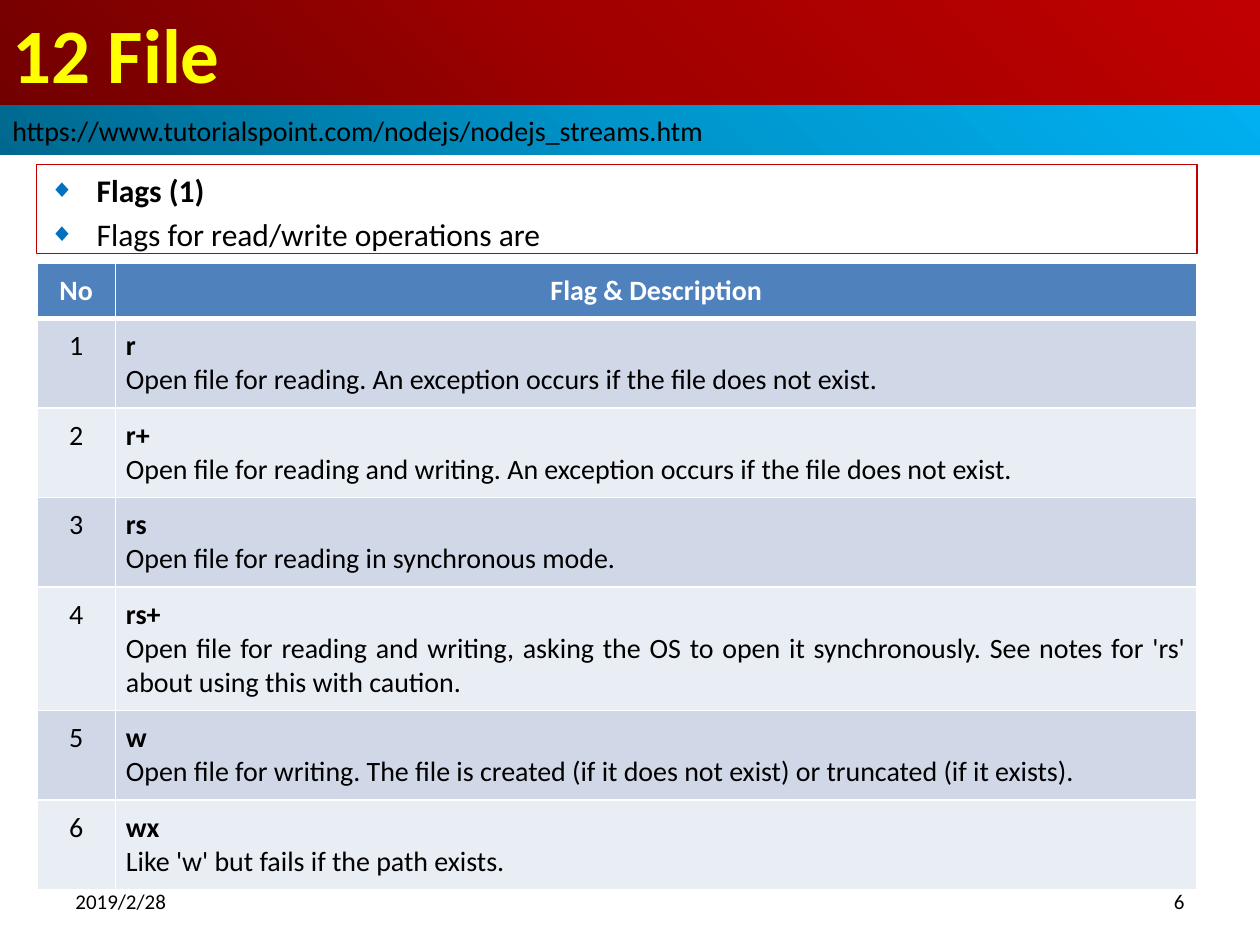
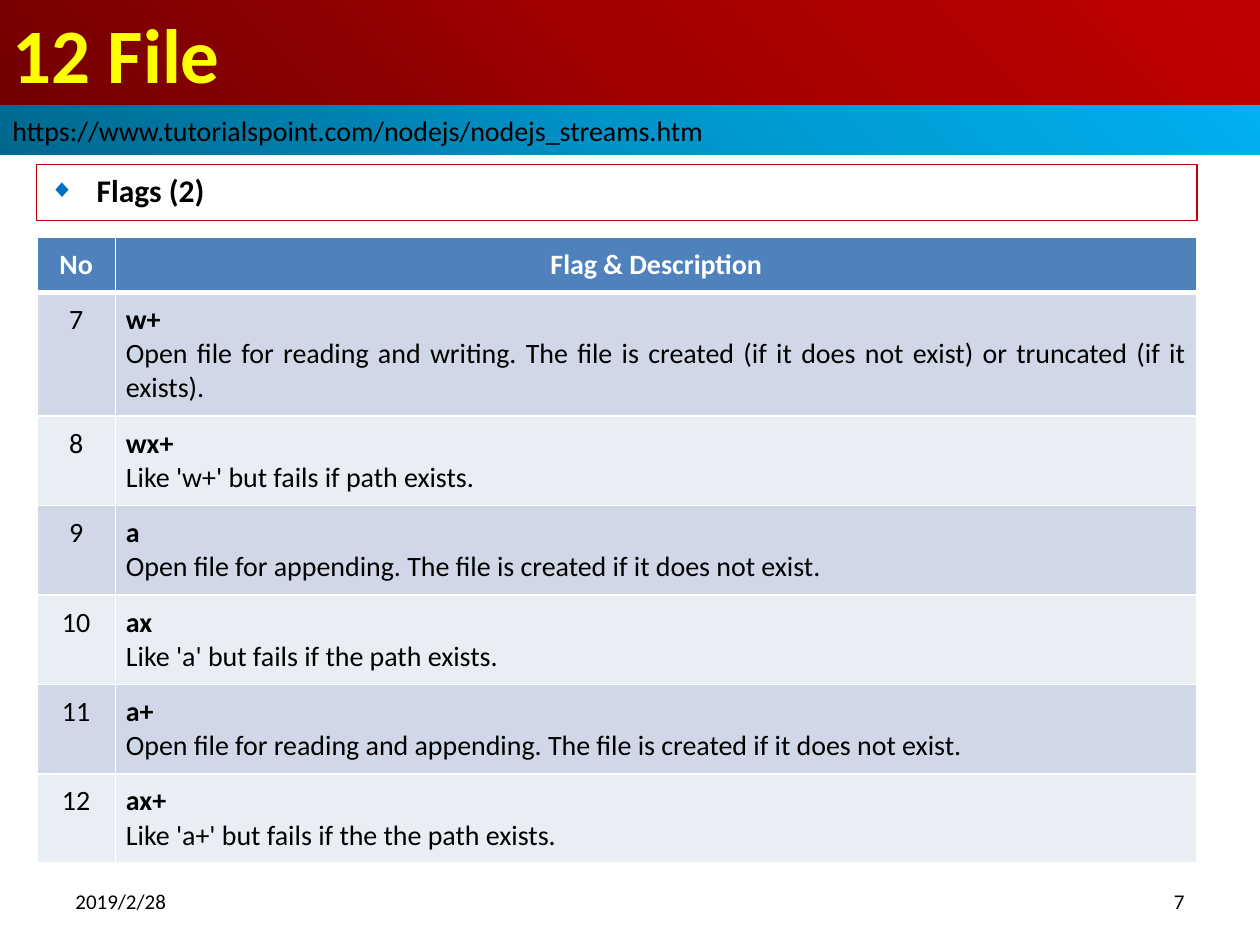
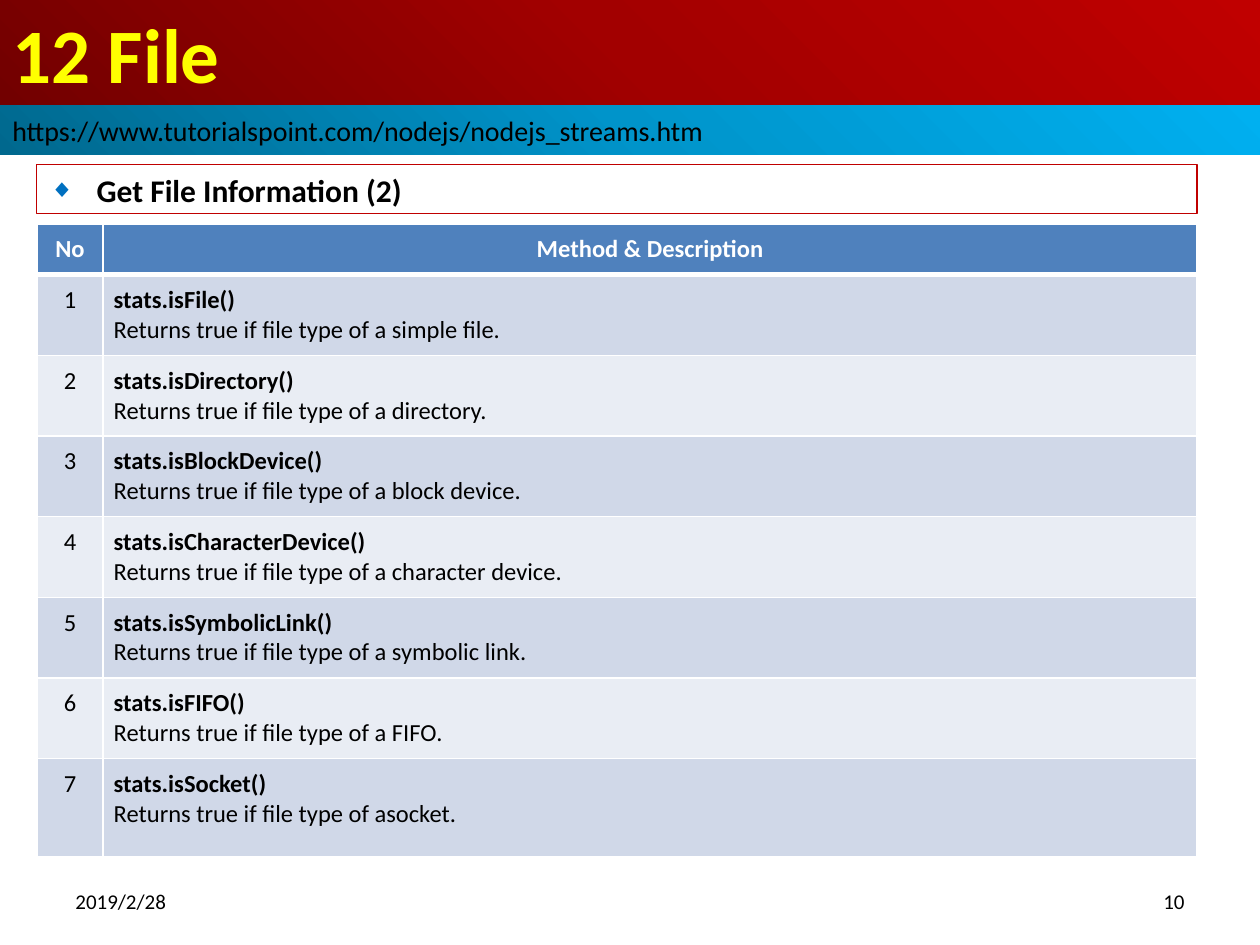
import pptx
import pptx.dml.color
import pptx.enum.shapes
import pptx.enum.text
import pptx.oxml
import pptx.oxml.ns
import pptx.util

Pt = pptx.util.Pt
ALIGN = pptx.enum.text.PP_ALIGN
MIDDLE = pptx.enum.text.MSO_ANCHOR.MIDDLE
TOP = pptx.enum.text.MSO_ANCHOR.TOP
NAMESPACE = pptx.oxml.ns.nsdecls("a")

# Shared look
FONT = "Calibri"
BLACK, WHITE, YELLOW = "000000", "FFFFFF", "FFFF00"
RED, BULLET_BLUE, HEADER_BLUE = "C00000", "0070C0", "4F81BD"
BAND_FILLS = ("D0D8E8", "E9EDF4")
TITLE_GRADIENT = ("720000", "A20000", RED)
LINK_GRADIENT = ("00688E", "0094CA", "00B0F0")
SLIDE_WIDTH, SLIDE_HEIGHT = 720, 540
CONTENT_LEFT, CONTENT_WIDTH = 21, 663
CELL_MARGIN = 6

TITLE = "12 File"
LINK = "https://www.tutorialspoint.com/nodejs/nodejs_streams.htm"
DATE = "2019/2/28"

SLIDES = [
    {
        "number": "6", "points": ["Flags (1)", "Flags for read/write operations are"],
        "list_height": 51, "table_top": 150.5, "table_height": 353,
        "heading": "Flag & Description", "first_number": 1,
        "size": 16, "number_width": 45, "row_heights": [29.5] * 7,
        "entries": [
            ("r", "Open file for reading. An exception occurs if the file does not exist."),
            ("r+", "Open file for reading and writing. An exception occurs if the file does not exist."),
            ("rs", "Open file for reading in synchronous mode."),
            ("rs+", "Open file for reading and writing, asking the OS to open it synchronously. "
                    "See notes for 'rs' about using this with caution."),
            ("w", "Open file for writing. The file is created (if it does not exist) "
                  "or truncated (if it exists)."),
            ("wx", "Like 'w' but fails if the path exists."),
        ],
    },
    {
        "number": "7", "points": ["Flags (2)"],
        "list_height": 32, "table_top": 135.5, "table_height": 353,
        "heading": "Flag & Description", "first_number": 7,
        "size": 16, "number_width": 45, "row_heights": [29.5] * 7,
        "entries": [
            ("w+", "Open file for reading and writing. The file is created (if it does not exist) "
                   "or truncated (if it exists)."),
            ("wx+", "Like 'w+' but fails if path exists."),
            ("a", "Open file for appending. The file is created if it does not exist."),
            ("ax", "Like 'a' but fails if the path exists."),
            ("a+", "Open file for reading and appending. The file is created if it does not exist."),
            ("ax+", "Like 'a+' but fails if the the path exists."),
        ],
    },
    {
        "number": "10", "points": ["Get File Information (2)"],
        "list_height": 28, "table_top": 128, "table_height": 358.5,
        "heading": "Method & Description", "first_number": 1,
        "size": 14, "number_width": 38, "row_heights": [26.5] + [42.5] * 6 + [56],
        "entries": [
            ("stats.isFile()", "Returns true if file type of a simple file."),
            ("stats.isDirectory()", "Returns true if file type of a directory."),
            ("stats.isBlockDevice()", "Returns true if file type of a block device."),
            ("stats.isCharacterDevice()", "Returns true if file type of a character device."),
            ("stats.isSymbolicLink()", "Returns true if file type of a symbolic link."),
            ("stats.isFIFO()", "Returns true if file type of a FIFO."),
            ("stats.isSocket()", "Returns true if file type of asocket."),
        ],
    },
]


# Helpers
def color(hex_value):
    return pptx.dml.color.RGBColor.from_string(hex_value)


def set_values(target, values):
    for name, value in values.items():
        setattr(target, name, value)


def place(shape, box):
    set_values(shape, dict(zip(("left", "top", "width", "height"), map(Pt, box))))


def write(paragraph, text, size, hex_value=BLACK, bold=False, alignment=ALIGN.LEFT):
    paragraph.text = text
    paragraph.alignment = alignment
    set_values(paragraph.font, {"name": FONT, "size": Pt(size), "bold": bold})
    paragraph.font.color.rgb = color(hex_value)


def set_frame(shape, anchor):
    set_values(shape.text_frame, {
        "word_wrap": True, "vertical_anchor": anchor,
        "auto_size": pptx.enum.text.MSO_AUTO_SIZE.NONE})


def fill_radial(shape, stops):
    """Spread the colours from the bottom left corner."""
    shape.fill.gradient()
    properties = shape.element.spPr
    stop_xml = "".join(
        f'<a:gs pos="{index * 50000}"><a:srgbClr val="{stop}"/></a:gs>'
        for index, stop in enumerate(stops))
    gradient = pptx.oxml.parse_xml(
        f'<a:gradFill {NAMESPACE} rotWithShape="1"><a:gsLst>{stop_xml}</a:gsLst>'
        '<a:path path="circle"><a:fillToRect t="100000" r="100000"/></a:path></a:gradFill>')
    properties.replace(properties.find(pptx.oxml.ns.qn("a:gradFill")), gradient)


def add_bullet(paragraph):
    properties = paragraph._p.get_or_add_pPr()
    set_indent = {"marL": Pt(27), "indent": Pt(-27)}
    for name, value in set_indent.items():
        properties.set(name, str(value))
    for xml in (f'<a:buClr {NAMESPACE}><a:srgbClr val="{BULLET_BLUE}"/></a:buClr>',
                f'<a:buSzPct {NAMESPACE} val="80000"/>',
                f'<a:buChar {NAMESPACE} char="◆"/>'):
        properties.append(pptx.oxml.parse_xml(xml))


def set_borders(cell, top_width, bottom_width):
    properties = cell._tc.get_or_add_tcPr()
    for side, width in (("L", 1), ("R", 1), ("T", top_width), ("B", bottom_width)):
        properties.append(pptx.oxml.parse_xml(
            f'<a:ln{side} {NAMESPACE} w="{Pt(width)}"><a:solidFill>'
            f'<a:srgbClr val="{WHITE}"/></a:solidFill></a:ln{side}>'))


# Regions
def add_title(slide, box):
    title = slide.shapes.title
    place(title, box)
    fill_radial(title, TITLE_GRADIENT)
    set_frame(title, MIDDLE)
    write(title.text_frame.paragraphs[0], TITLE, 44, YELLOW, True)


def add_link_band(slide, box):
    band = slide.shapes.add_shape(
        pptx.enum.shapes.MSO_SHAPE.RECTANGLE, *map(Pt, box))
    band.shadow.inherit = False
    band.line.fill.background()
    fill_radial(band, LINK_GRADIENT)
    set_frame(band, MIDDLE)
    write(band.text_frame.paragraphs[0], LINK, 16)


def add_footer(slide, box, number):
    left, top, width, height = box
    part_width = 168
    parts = ((left, DATE, ALIGN.LEFT),
             (left + width - part_width, number, ALIGN.RIGHT))
    for part_left, text, alignment in parts:
        label = slide.shapes.add_textbox(*map(Pt, (part_left, top, part_width, height)))
        set_frame(label, MIDDLE)
        write(label.text_frame.paragraphs[0], text, 12, alignment=alignment)


def add_points(slide, box, points):
    body = slide.placeholders[1]
    place(body, box)
    body.line.color.rgb = color(RED)
    body.line.width = Pt(0.75)
    set_frame(body, TOP)
    frame = body.text_frame
    for index, text in enumerate(points):
        paragraph = frame.add_paragraph() if index else frame.paragraphs[0]
        add_bullet(paragraph)
        paragraph.space_before = Pt(3.6 if index else 0)
        write(paragraph, text, 18, bold=index == 0)


def add_description_table(slide, box, content):
    width = box[2]
    entries, size = content["entries"], content["size"]
    table_shape = slide.shapes.add_table(len(entries) + 1, 2, *map(Pt, box))
    table = table_shape.table
    table.horz_banding = False
    number_width = content["number_width"]
    for column, column_width in zip(table.columns, (number_width, width - number_width)):
        column.width = Pt(column_width)
    for row, row_height in zip(table.rows, content["row_heights"]):
        row.height = Pt(row_height)
    table_shape.height = Pt(box[3])

    # Cell frames
    for row_index, row in enumerate(table.rows):
        fill = BAND_FILLS[(row_index - 1) % 2] if row_index else HEADER_BLUE
        for cell in row.cells:
            set_borders(cell, 3 if row_index == 1 else 1, 1 if row_index else 3)
            cell.fill.solid()
            cell.fill.fore_color.rgb = color(fill)
            set_values(cell, {f"margin_{side}": Pt(CELL_MARGIN)
                              for side in ("left", "right", "top", "bottom")})

    # Cell text
    for column_index, heading in enumerate(("No", content["heading"])):
        paragraph = table.cell(0, column_index).text_frame.paragraphs[0]
        write(paragraph, heading, size, WHITE, True, ALIGN.CENTER)
    for row_index, (name, description) in enumerate(entries, 1):
        number = str(content["first_number"] + row_index - 1)
        write(table.cell(row_index, 0).text_frame.paragraphs[0], number, size,
              alignment=ALIGN.CENTER)
        frame = table.cell(row_index, 1).text_frame
        write(frame.paragraphs[0], name, size, bold=True, alignment=ALIGN.JUSTIFY)
        write(frame.add_paragraph(), description, size, alignment=ALIGN.JUSTIFY)


def add_table_slide(presentation, content):
    slide = presentation.slides.add_slide(presentation.slide_layouts[1])
    add_title(slide, (0, 0, SLIDE_WIDTH, 60))
    add_link_band(slide, (0, 60, SLIDE_WIDTH, 28.5))
    add_footer(slide, (36, 500.5, 648, 28.75), content["number"])
    add_points(slide, (CONTENT_LEFT, 94, CONTENT_WIDTH, content["list_height"]),
               content["points"])
    add_description_table(
        slide, (CONTENT_LEFT, content["table_top"], CONTENT_WIDTH, content["table_height"]),
        content)


def main():
    presentation = pptx.Presentation()
    set_values(presentation, {"slide_width": Pt(SLIDE_WIDTH), "slide_height": Pt(SLIDE_HEIGHT)})
    for content in SLIDES:
        add_table_slide(presentation, content)
    presentation.save("out.pptx")


if __name__ == "__main__":
    main()
